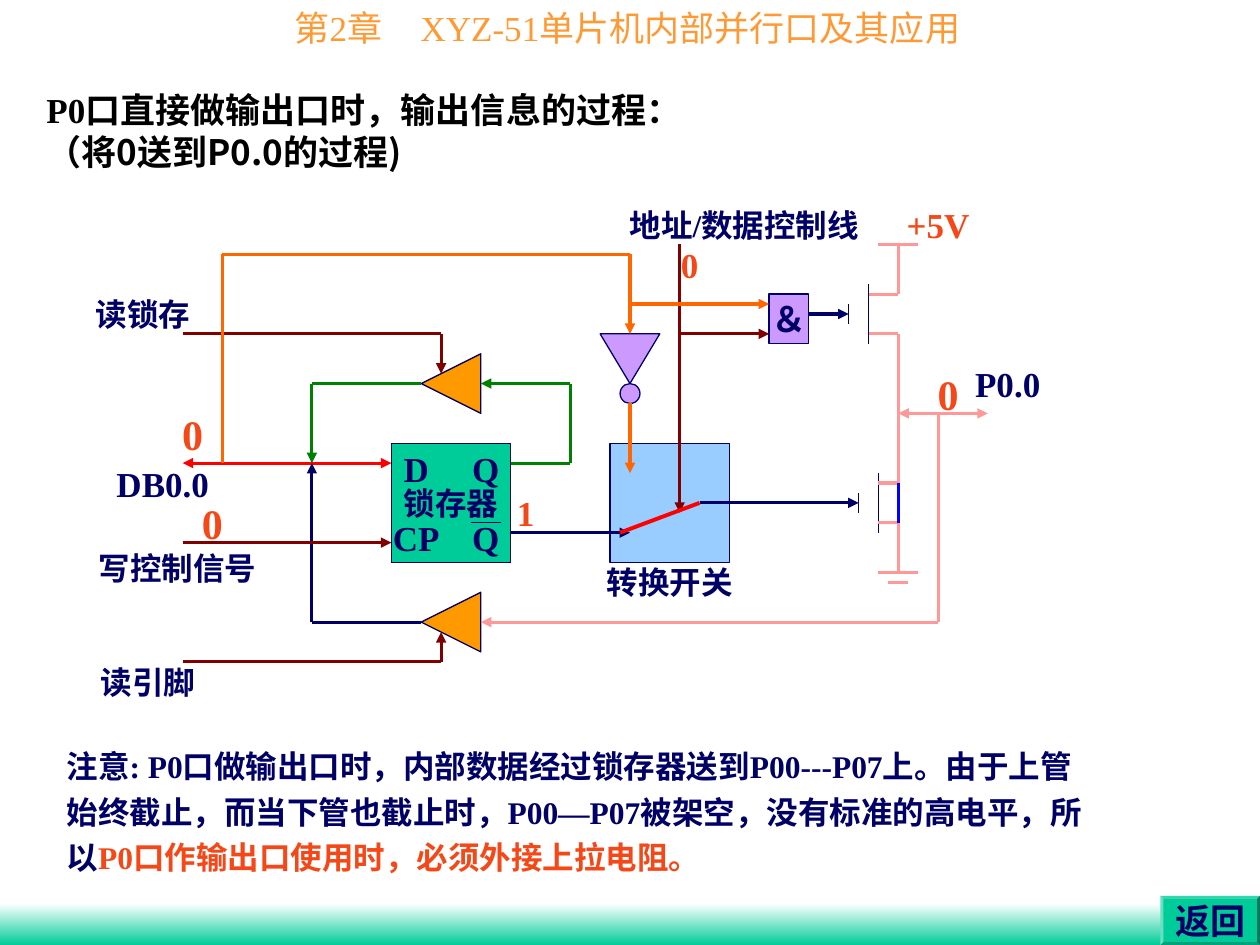
from lxml import etree
from pptx import Presentation
from pptx.dml.color import RGBColor
from pptx.enum.shapes import MSO_CONNECTOR, MSO_SHAPE
from pptx.enum.text import MSO_ANCHOR, PP_ALIGN
from pptx.oxml.ns import qn
from pptx.util import Inches, Pt

STRAIGHT = MSO_CONNECTOR.STRAIGHT
PROCESS, MERGE = MSO_SHAPE.FLOWCHART_PROCESS, MSO_SHAPE.FLOWCHART_MERGE
RECT, OVAL, BEVEL = MSO_SHAPE.RECTANGLE, MSO_SHAPE.OVAL, MSO_SHAPE.BEVEL
TOP, MIDDLE = MSO_ANCHOR.TOP, MSO_ANCHOR.MIDDLE
LEFT, CENTER = PP_ALIGN.LEFT, PP_ALIGN.CENTER

BLACK = RGBColor(0x00, 0x00, 0x00)
WHITE = RGBColor(0xFF, 0xFF, 0xFF)
NAVY = RGBColor(0x00, 0x00, 0x66)
TEAL = RGBColor(0x00, 0xCC, 0x99)
AMBER = RGBColor(0xFF, 0x99, 0x33)
BUFFER = RGBColor(0xFF, 0x99, 0x00)
SKY = RGBColor(0x99, 0xCC, 0xFF)
LILAC = RGBColor(0xCC, 0x99, 0xFF)
SIGNAL = RGBColor(0xF5, 0x48, 0x19)
RED = RGBColor(0xFF, 0x00, 0x00)
MAROON = RGBColor(0x80, 0x00, 0x00)
GREEN = RGBColor(0x00, 0x80, 0x00)
ORANGE = RGBColor(0xFF, 0x66, 0x00)
PINK = RGBColor(0xFF, 0x99, 0x99)
BLUE = RGBColor(0x00, 0x00, 0xFF)

SERIF, SANS = "Times New Roman", "Noto Sans CJK SC"
COLUMNS = 81

BLOCKS = [
    (PROCESS, 21, 20, 12, 12, TEAL, ""),
    (PROCESS, 43, 20, 12, 12, SKY, ""),
    (MERGE, 42, 9, 6, 5, LILAC, ""),
    (OVAL, 44, 14, 2, 2, LILAC, ""),
    (RECT, 59, 5, 4, 5, LILAC, "＆"),
]
BUFFER_TOPS = [11, 35]
WIRES = [
    (NAVY, 0.75, [
        (29, 28, 32, 28, ""), (67, 6, 67, 8, ""), (69, 4, 69, 10, ""),
        (68, 25, 68, 27, ""), (70, 23, 70, 29, "")]),
    (RED, 1.75, [(0, 22, 21, 22, "both")]),
    (GREEN, 1.75, [
        (13, 14, 24, 14, ""), (33, 22, 39, 22, ""), (30, 14, 39, 14, "head"),
        (13, 14, 13, 22, "tail"), (39, 14, 39, 22, "")]),
    (NAVY, 1.75, [
        (13, 38, 24, 38, ""), (13, 22, 13, 38, "head"), (33, 29, 45, 29, "tail"),
        (52, 26, 68, 26, "tail"), (63, 7, 67, 7, "tail")]),
    (MAROON, 1.75, [
        (0, 30, 21, 30, "tail"), (50, 0, 50, 27, "tail"), (50, 9, 59, 9, "tail"),
        (0, 42, 26, 42, ""), (0, 9, 26, 9, ""), (26, 9, 26, 13, "tail"),
        (26, 39, 26, 42, "head")]),
    (ORANGE, 1.75, [
        (45, 16, 45, 23, "tail"), (45, 1, 45, 9, "tail"), (45, 6, 59, 6, "tail"),
        (4, 1, 45, 1, ""), (4, 1, 4, 22, "")]),
    (RED, 2.25, [(52, 26, 44, 29, "")]),
    (PINK, 1.75, [
        (30, 38, 76, 38, "head"), (76, 17, 76, 38, ""), (72, 17, 81, 17, "both"),
        (72, 0, 72, 5, ""), (72, 9, 72, 17, ""), (72, 17, 72, 24, ""),
        (72, 28, 72, 33, ""), (70, 24, 72, 24, ""), (70, 28, 72, 28, ""),
        (69, 9, 72, 9, ""), (69, 5, 72, 5, ""), (70, 0, 74, 0, ""),
        (70, 33, 74, 33, ""), (71, 34, 73, 34, "")]),
    (BLUE, 1.75, [(72, 24, 72, 28, "")]),
]
LABELS = [
    (NAVY, 18, [
        ("读引脚", -12, 42, 17, 4), ("读锁存", -11, 5, 14, 4),
        ("写控制信号", -9, 30, 17, 5), ("地址/数据控制线", 43, -4, 27, 4),
        ("转换开关", 42, 32, 14, 4), ("锁存器", 20, 24, 14, 4)]),
    (NAVY, 20, [
        ("D", 21, 21, 5, 3), ("CP", 21, 28, 5, 3), ("Q", 28, 21, 5, 3),
        ("Q", 28, 28, 5, 3), ("DB0.0", -7, 22, 10, 4), ("P0.0", 76, 12, 14, 4)]),
    (SIGNAL, 20, [
        ("+5V", 73, -4, 6, 4), ("0", 48, 0, 6, 4), ("1", 33, 25, 3, 4)]),
    (SIGNAL, 24, [
        ("0", -1, 17, 4, 4), ("0", 1, 26, 4, 4), ("0", 74, 13, 6, 4)]),
]


def add_run(paragraph, wording, color, size, bold=True, name=SERIF):
    """Append a formatted run to a paragraph."""
    run = paragraph.add_run()
    run.text = wording
    for attribute, value in {"name": name, "size": Pt(size), "bold": bold}.items():
        setattr(run.font, attribute, value)
    run.font.color.rgb = color


def prepare_text(shape, anchor=MIDDLE, alignment=LEFT, wrap=True):
    """Set the frame layout and return its first paragraph."""
    frame = shape.text_frame
    for attribute, value in {"vertical_anchor": anchor, "word_wrap": wrap}.items():
        setattr(frame, attribute, value)
    frame.paragraphs[0].alignment = alignment
    return frame.paragraphs[0]


def paint(shape, fill=None, outline=None):
    """Give a shape an optional flat fill and an optional thin outline."""
    shape.shadow.inherit = False
    if fill is None:
        shape.fill.background()
    else:
        shape.fill.solid()
        shape.fill.fore_color.rgb = fill
    if outline is None:
        shape.line.fill.background()
    else:
        shape.line.color.rgb = outline
        shape.line.width = Pt(0.75)


def add_wire(shapes, ends, color, width, arrows):
    """Draw a straight wire with arrowheads at the named ends."""
    wire = shapes.add_connector(STRAIGHT, *ends)
    wire.line.color.rgb = color
    wire.line.width = Pt(width)
    outline = wire.line._get_or_add_ln()
    for end in ("head", "tail"):
        if arrows in (end, "both"):
            etree.SubElement(outline, qn(f"a:{end}End"), type="triangle")
    etree.SubElement(wire._element.spPr, qn("a:effectLst"))


def add_footer(shapes, *box):
    """Draw the fading band along the bottom."""
    band = shapes.add_shape(RECT, *box)
    band.shadow.inherit = False
    band.line.fill.background()
    band.fill.gradient()
    band.fill.gradient_angle = 270
    for stop, color, position in zip(band.fill.gradient_stops, (WHITE, TEAL), (0, 1)):
        stop.color.rgb = color
        stop.position = position


def add_chapter(shapes, *box):
    """Write the chapter heading."""
    heading = prepare_text(shapes.add_textbox(*box), TOP)
    add_run(heading, "第2章\tXYZ-51单片机内部并行口及其应用", AMBER, 20, False)


def add_title(shapes, *box):
    """Write the two-line slide title."""
    title = prepare_text(shapes.add_textbox(*box))
    title.line_spacing = Pt(24)
    add_run(title, "P0口直接做输出口时，输出信息的过程：", BLACK, 20)
    title.add_line_break()
    add_run(title, "（将0送到P0.0的过程)", BLACK, 20, name=SANS)


def add_circuit(shapes, left, top, width):
    """Draw the port circuit on a square grid spanning the given width."""
    pitch = width / COLUMNS

    def point(column, row):
        return round(left + column * pitch), round(top + row * pitch)

    def cell(column, row, columns, rows):
        return *point(column, row), round(columns * pitch), round(rows * pitch)

    def add_block(kind, place, wording, size=20, color=NAVY, fill=None, outline=None):
        block = shapes.add_shape(kind, *cell(*place))
        paint(block, fill, outline)
        if wording:
            add_run(prepare_text(block, MIDDLE, CENTER, False), wording, color, size)

    for kind, *place, fill, wording in BLOCKS:
        add_block(kind, place, wording, fill=fill, outline=NAVY)
    for row in BUFFER_TOPS:
        builder = shapes.build_freeform(*point(30, row), scale=1.0)
        builder.add_line_segments([point(30, row + 6), point(24, row + 3)], close=True)
        paint(builder.convert_to_shape(), BUFFER, NAVY)
    for color, weight, runs in WIRES:
        for x1, y1, x2, y2, arrows in runs:
            add_wire(shapes, point(x1, y1) + point(x2, y2), color, weight, arrows)
    for color, size, entries in LABELS:
        for wording, *place in entries:
            add_block(PROCESS, place, wording, size, color)


def add_remark(shapes, *box):
    """Write the remark below the circuit."""
    remark = prepare_text(shapes.add_textbox(*box))
    remark.line_spacing = 1.2
    remark._p.get_or_add_pPr().set("hangingPunct", "0")
    add_run(remark, "注意: P0口做输出口时，内部数据经过锁存器送到P00---P07上。由于上管始终截止，"
            "而当下管也截止时，P00—P07被架空，没有标准的高电平，所以", NAVY, 18)
    add_run(remark, "P0口作输出口使用时，必须外接上拉电阻。", SIGNAL, 18)


def add_return_button(shapes, *box):
    """Draw the bevelled return button."""
    button = shapes.add_shape(BEVEL, *box)
    button.adjustments[0] = 0.06
    paint(button, TEAL)
    add_run(prepare_text(button, MIDDLE, CENTER, False), "返回", NAVY, 20)


def main():
    """Build and save the slide."""
    deck = Presentation()
    deck.slide_width, deck.slide_height = Inches(10), Inches(7.5)
    shapes = deck.slides.add_slide(deck.slide_layouts[6]).shapes
    add_footer(shapes, Inches(0), Inches(7.17), Inches(10), Inches(0.33))
    add_chapter(shapes, Inches(2.24), Inches(0), Inches(5.77), Inches(0.44))
    add_title(shapes, Inches(0.27), Inches(0.76), Inches(5.75), Inches(0.55))
    add_return_button(shapes, Inches(9.21), Inches(7.11), Inches(0.79), Inches(0.39))
    add_circuit(shapes, Inches(1.45), Inches(1.94), Inches(6.39))
    add_remark(shapes, Inches(0.43), Inches(5.8), Inches(8.35), Inches(1.22))
    deck.save("out.pptx")


if __name__ == "__main__":
    main()
